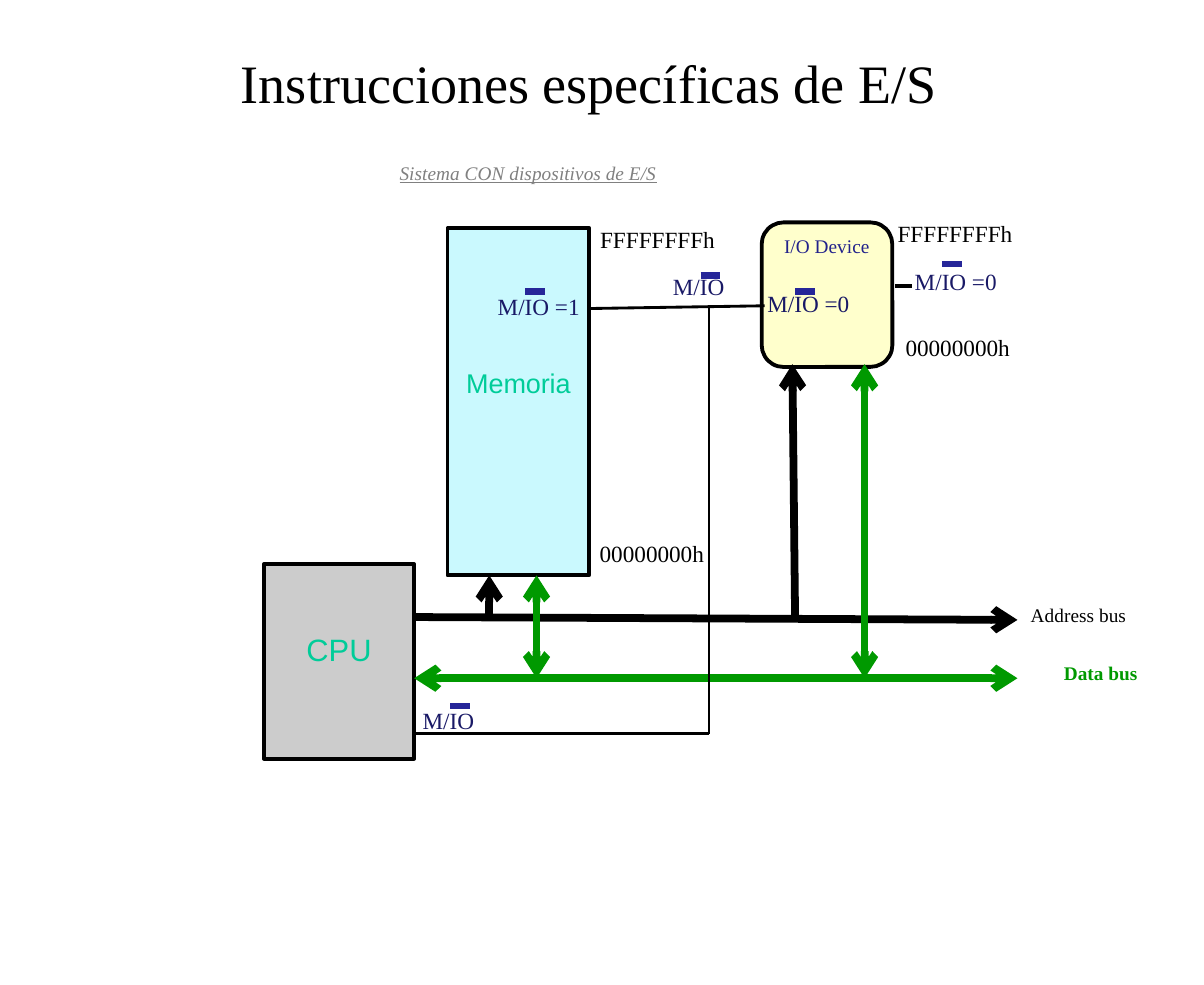
from pptx import Presentation
from pptx.dml.color import RGBColor
from pptx.enum.shapes import MSO_CONNECTOR as Connector, MSO_SHAPE as Shape
from pptx.enum.text import MSO_ANCHOR as Anchor, PP_ALIGN as Align
from pptx.oxml.ns import qn
from pptx.util import Inches, Pt
from lxml.etree import SubElement

THEME = {
    "serif": "Times New Roman", "sans": "Arial",
    "black": "000000", "data": "009900", "signal": "191966", "bar": "262699",
    "device": "22228B", "block": "00CC99", "subtitle": "808080",
    "cpu_fill": "CCCCCC", "memory_fill": "CAF9FE", "device_fill": "FFFFCC",
    "title_size": 14, "cpu_size": 8, "memory_size": 7, "label_size": 6, "small_size": 5,
    "outline": 1, "bus": 2, "wire": 0.75, "overbar": 1.75,
}

CM_PER_INCH = 2.54
SLIDE_WIDTH, SLIDE_HEIGHT = 11 / CM_PER_INCH, 9 / CM_PER_INCH

BLOCKS = [
    ("I/O Device", Shape.ROUNDED_RECTANGLE, (2.74, 0.8, 0.47, 0.52), "device_fill", 0.02,
     dict(size="small_size", color="device")),
    ("CPU", Shape.RECTANGLE, (0.95, 2.03, 0.54, 0.7), "cpu_fill", 0.24,
     dict(size="cpu_size", color="block", font="sans")),
    ("Memoria", Shape.RECTANGLE, (1.61, 0.82, 0.51, 1.25), "memory_fill", 0.5,
     dict(size="memory_size", color="block", font="sans")),
]

LINES = [
    ((1.49, 2.22), (3.66, 2.23), "black", "bus", ("tailEnd",)),
    ((1.49, 2.44), (3.66, 2.44), "data", "bus", ("headEnd", "tailEnd")),
    ((1.76, 2.22), (1.76, 2.07), "black", "bus", ("tailEnd",)),
    ((1.93, 2.44), (1.93, 2.07), "data", "bus", ("headEnd", "tailEnd")),
    ((2.86, 2.22), (2.85, 1.31), "black", "bus", ("tailEnd",)),
    ((3.11, 2.44), (3.11, 1.31), "data", "bus", ("headEnd", "tailEnd")),
    ((3.22, 1.03), (3.28, 1.03), "black", "outline", ()),
    ((1.49, 2.64), (2.55, 2.64), "black", "wire", ()),
    ((2.55, 2.64), (2.55, 1.1), "black", "wire", ()),
    ((2.12, 1.11), (2.75, 1.1), "black", "wire", ()),
]

LABELS = [
    ("Instrucciones específicas de E/S", (0.28, 0, 3.68, 0.59),
     dict(size="title_size", anchor=Anchor.MIDDLE, wrap=True)),
    ("Sistema CON dispositivos de E/S", (1.39, 0.56, 1.02, 0.13),
     dict(size="small_size", color="subtitle", italic=True, underline=True)),
    ("Address bus", (3.66, 2.15, 0.44, 0.13), dict(size="small_size")),
    ("Data bus", (3.78, 2.36, 0.36, 0.13), dict(size="small_size", color="data", bold=True)),
    ("FFFFFFFFh", (2.11, 0.79, 0.51, 0.15), {}),
    ("00000000h", (2.11, 1.92, 0.47, 0.15), {}),
    ("FFFFFFFFh", (3.18, 0.77, 0.51, 0.15), {}),
    ("00000000h", (3.21, 1.18, 0.47, 0.15), {}),
]

SIGNALS = [
    ("M/IO", 1.48, 2.52, 2.54),
    ("M/IO =1", 1.75, 1.03, 1.05),
    ("M/IO", 2.38, 0.96, 0.99),
    ("M/IO =0", 2.72, 1.02, 1.05),
    ("M/IO =0", 3.25, 0.94, 0.95),
]
SIGNAL_WIDTH, SIGNAL_HEIGHT = 0.38, 0.15
BAR_LEFT, BAR_LENGTH = 0.14, 0.07


def theme_color(name):
    return RGBColor.from_string(THEME[name])


def write_text(shape, text, size="label_size", color="black", font="serif", bold=False,
               italic=False, underline=False, align=Align.CENTER, anchor=Anchor.TOP,
               wrap=False, top=0.02):
    frame = shape.text_frame
    frame.word_wrap = wrap
    frame.vertical_anchor = anchor
    frame.margin_left = frame.margin_right = Inches(0.04)
    frame.margin_top, frame.margin_bottom = Inches(top), Inches(0.02)
    paragraph = frame.paragraphs[0]
    paragraph.alignment = align
    run = paragraph.add_run()
    run.text = text
    run.font.name = THEME[font]
    run.font.size = Pt(THEME[size])
    run.font.color.rgb = theme_color(color)
    run.font.bold, run.font.italic, run.font.underline = bold, italic, underline


def add_block(slide, text, kind, box, fill, top, style):
    shape = slide.shapes.add_shape(kind, *map(Inches, box))
    shape.shadow.inherit = False
    shape.fill.solid()
    shape.fill.fore_color.rgb = theme_color(fill)
    shape.line.color.rgb = theme_color("black")
    shape.line.width = Pt(THEME["outline"])
    write_text(shape, text, top=top, wrap=True, **style)


def add_line(slide, start, end, color, width, arrows=()):
    connector = slide.shapes.add_connector(Connector.STRAIGHT, *map(Inches, start + end))
    connector.line.color.rgb = theme_color(color)
    connector.line.width = Pt(THEME[width])
    properties = connector._element.spPr
    for arrow in arrows:
        SubElement(properties.find(qn("a:ln")), qn("a:" + arrow), type="arrow")
    SubElement(properties, qn("a:effectLst"))


def add_label(slide, text, box, **style):
    write_text(slide.shapes.add_textbox(*map(Inches, box)), text, **style)


def main():
    presentation = Presentation()
    presentation.slide_width = Inches(SLIDE_WIDTH)
    presentation.slide_height = Inches(SLIDE_HEIGHT)
    slide = presentation.slides.add_slide(presentation.slide_layouts[6])
    for block in BLOCKS:
        add_block(slide, *block)
    for line in LINES:
        add_line(slide, *line)
    for text, box, style in LABELS:
        add_label(slide, text, box, **style)
    for text, left, top, bar_y in SIGNALS:
        add_label(slide, text, (left, top, SIGNAL_WIDTH, SIGNAL_HEIGHT),
                  color="signal", align=Align.LEFT)
        bar_x = left + BAR_LEFT
        add_line(slide, (bar_x, bar_y), (bar_x + BAR_LENGTH, bar_y), "bar", "overbar")
    presentation.save("out.pptx")


if __name__ == "__main__":
    main()
